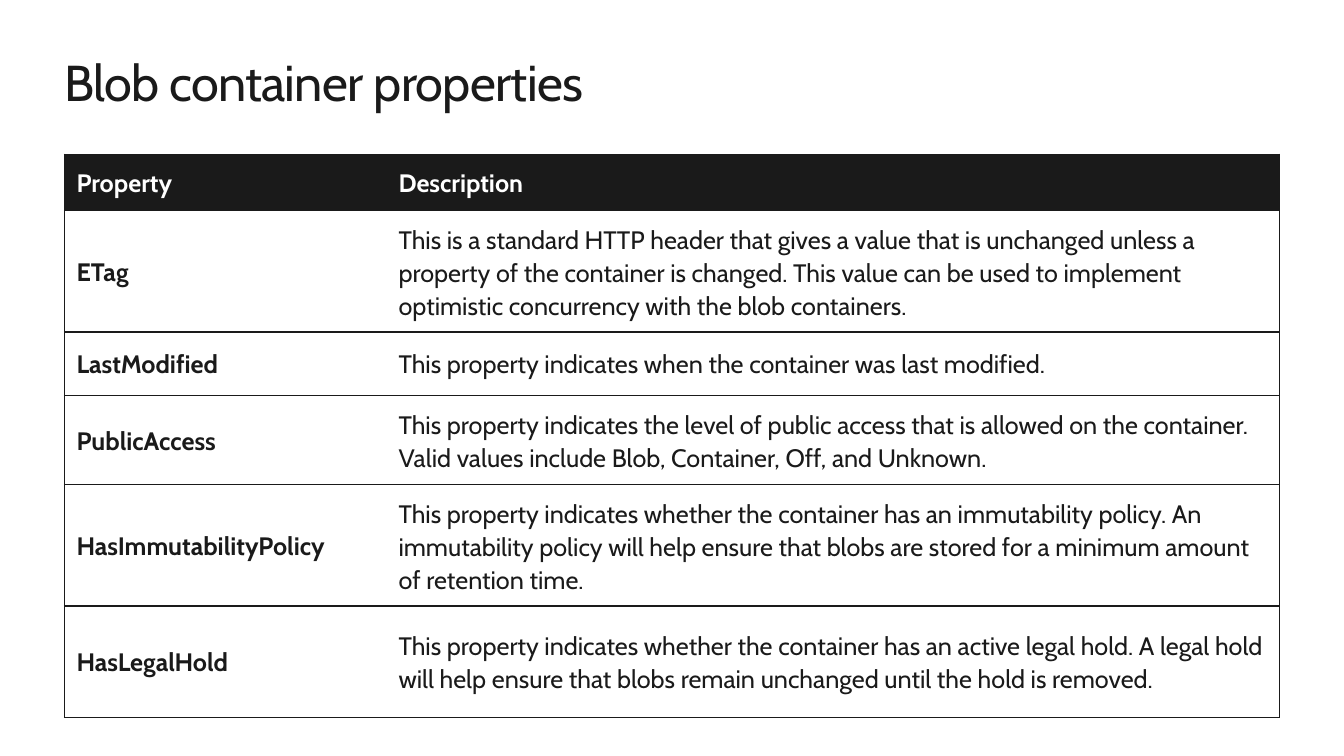
"""Build a slide with a table of blob container properties."""
import pptx
import pptx.dml.color
import pptx.enum.text
import pptx.oxml
import pptx.oxml.ns
import pptx.util

COLORS = {"ink": "1A1A1A", "paper": "FFFFFF"}
FONT = "Cabin"
SLIDE_WIDTH, SLIDE_HEIGHT = pptx.util.Inches(13.33), pptx.util.Inches(7.5)
COLUMN_SHARES = (0.265, 0.735)
ROW_SHARES = (0.1, 0.21, 0.12, 0.15, 0.21, 0.21)
PROPERTIES = [
    ("Property", "Description"),
    ("ETag", "This is a standard HTTP header that gives a value that is unchanged unless a "
             "property of the container is changed. This value can be used to implement "
             "optimistic concurrency with the blob containers."),
    ("LastModified", "This property indicates when the container was last modified."),
    ("PublicAccess", "This property indicates the level of public access that is allowed on "
                     "the container. Valid values include Blob, Container, Off, and Unknown."),
    ("HasImmutabilityPolicy", "This property indicates whether the container has an "
                              "immutability policy. An immutability policy will help ensure "
                              "that blobs are stored for a minimum amount of retention time."),
    ("HasLegalHold", "This property indicates whether the container has an active legal hold. "
                     "A legal hold will help ensure that blobs remain unchanged until the "
                     "hold is removed."),
]


def rgb(name):
    """Return the named colour."""
    return pptx.dml.color.RGBColor.from_string(COLORS[name])


def share_box(left, top, width, height):
    """Turn shares of the slide into a box of lengths."""
    return (int(left * SLIDE_WIDTH), int(top * SLIDE_HEIGHT),
            int(width * SLIDE_WIDTH), int(height * SLIDE_HEIGHT))


def style_font(font, size, color, bold=False):
    """Apply the slide's typeface with a size, colour and weight."""
    font.name, font.size, font.bold = FONT, pptx.util.Pt(size), bold
    font.color.rgb = rgb(color)


def set_margins(holder, margin):
    """Give a cell or text frame the same margin on all sides."""
    holder.margin_left = holder.margin_right = margin
    holder.margin_top = holder.margin_bottom = margin


def draw_borders(cell, open_side):
    """Rule every side of a cell except the open one."""
    for position, side in enumerate("LRTB"):
        stroke = ("<a:noFill/>" if side == open_side else
                  f'<a:solidFill><a:srgbClr val="{COLORS["ink"]}"/></a:solidFill>')
        cell._tc.get_or_add_tcPr().insert(position, pptx.oxml.parse_xml(
            f'<a:ln{side} {pptx.oxml.ns.nsdecls("a")} w="12700">{stroke}</a:ln{side}>'))


def add_heading(slide, box, wording):
    """Place the slide heading in its box."""
    frame = slide.shapes.add_textbox(*box).text_frame
    frame.word_wrap = True
    set_margins(frame, 0)
    heading = frame.paragraphs[0]
    heading.text = wording
    style_font(heading.font, 36, "ink")
    heading.runs[0].font._element.set("spc", "-50")


def fill_cell(cell, wording, is_header, is_name):
    """Write and style one cell of the property table."""
    cell.text = wording
    cell.vertical_anchor = pptx.enum.text.MSO_ANCHOR.MIDDLE
    set_margins(cell, pptx.util.Inches(0.12))
    cell.fill.solid()
    cell.fill.fore_color.rgb = rgb("ink" if is_header else "paper")
    entry = cell.text_frame.paragraphs[0]
    entry.line_spacing = 1.07
    style_font(entry.font, 18, "paper" if is_header else "ink", is_header or is_name)
    draw_borders(cell, "R" if is_name else "L")


def add_property_table(slide, box, properties):
    """Lay out the properties as a ruled table filling its box."""
    table = slide.shapes.add_table(len(properties), len(COLUMN_SHARES), *box).table
    table.horz_banding = False
    for column, share in zip(table.columns, COLUMN_SHARES):
        column.width = int(box[2] * share)
    for row, share in zip(table.rows, ROW_SHARES):
        row.height = int(box[3] * share)
    for row_index, entries in enumerate(properties):
        for column_index, wording in enumerate(entries):
            fill_cell(table.cell(row_index, column_index), wording,
                      row_index == 0, column_index == 0)


def main():
    """Build and save the presentation."""
    deck = pptx.Presentation()
    deck.slide_width, deck.slide_height = SLIDE_WIDTH, SLIDE_HEIGHT
    slide = deck.slides.add_slide(deck.slide_layouts[6])
    add_heading(slide, share_box(0.048, 0.067, 0.904, 0.081), "Blob container properties")
    add_property_table(slide, share_box(0.048, 0.204, 0.904, 0.705), PROPERTIES)
    deck.save("out.pptx")


main()
